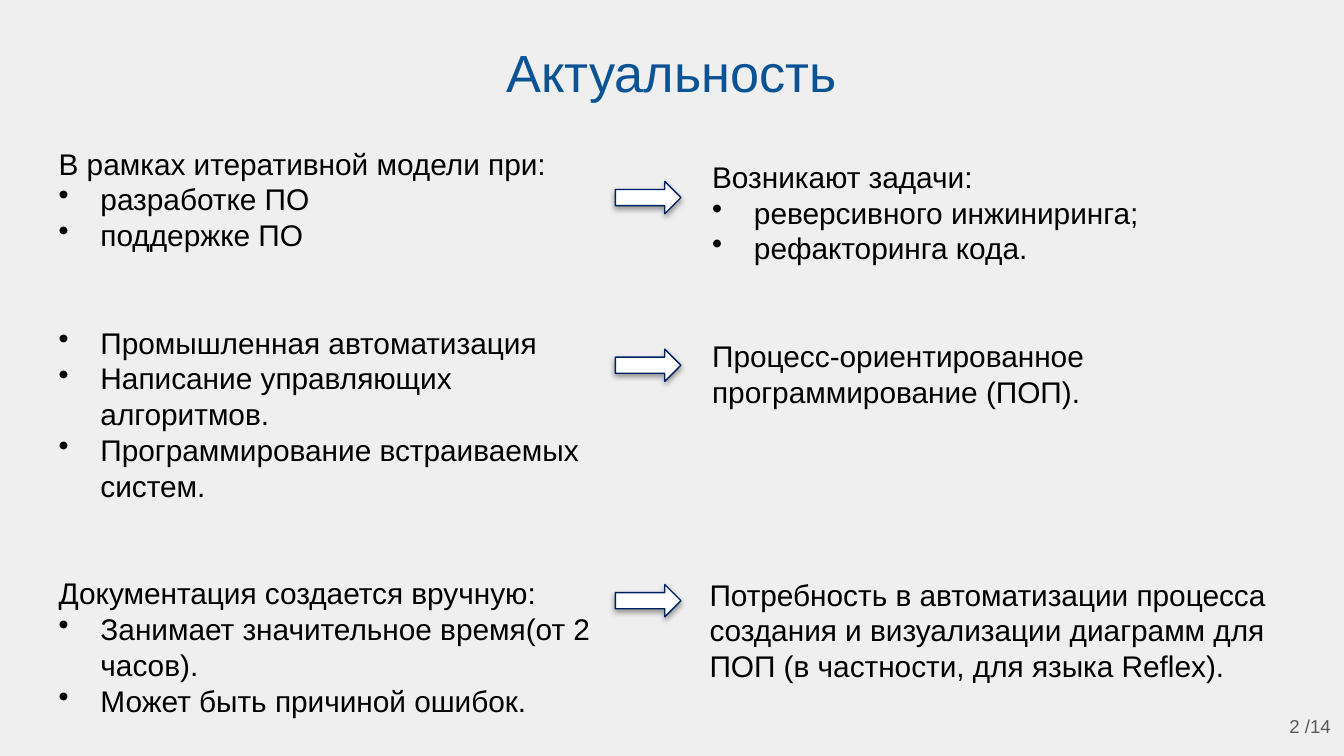
import lxml.etree
import pptx
import pptx.dml.color
import pptx.enum.shapes
import pptx.enum.text
import pptx.oxml.ns
import pptx.util

Cm, Pt = pptx.util.Cm, pptx.util.Pt
ALIGN = pptx.enum.text.PP_ALIGN
ANCHOR = pptx.enum.text.MSO_ANCHOR
AUTO_SIZE = pptx.enum.text.MSO_AUTO_SIZE

# Content: each group is (lead line or None, bulleted items)
TITLE = "Актуальность"
PAGE_NUMBER = "2 /14"
CAUSES = [
    ("В рамках итеративной модели при:", ["разработке ПО", "поддержке ПО"]),
    (None, ["Промышленная автоматизация",
            "Написание управляющих алгоритмов.",
            "Программирование встраиваемых систем."]),
    ("Документация создается вручную:",
     ["Занимает значительное время(от 2 часов).", "Может быть причиной ошибок."]),
]
TASKS = [
    ("Возникают задачи:", ["реверсивного инжиниринга;", "рефакторинга кода."]),
    ("Процесс-ориентированное программирование (ПОП).", []),
]
NEED = [
    ("Потребность в автоматизации процесса создания и визуализации диаграмм "
     "для ПОП (в частности, для языка Reflex).", []),
]

# Places in centimetres: left, top, width, height
TITLE_AREA = (0.86, 0.51, 23.67, 1.37)
NUMBER_AREA = (23.88, 13.18, 1.52, 1.09)
COLUMNS = [
    (CAUSES, (0.86, 2.62, 11.23, 11.79)),
    (TASKS, (13.21, 2.87, 11.28, 5.64)),
    (NEED, (13.16, 10.77, 11.4, 2.9)),
]
ARROW_LEFT, ARROW_WIDTH, ARROW_HEIGHT = 11.63, 1.24, 0.61
ARROW_TOPS = [3.43, 6.6, 11.05]
BULLET_INDENT = 0.79

THEME = {
    "font": "Arial", "line_height": 1.2,
    "title_size": 28, "body_size": 16, "number_size": 10,
    "page": "EFEFEF", "title": "0B5394", "body": "000000", "number": "595959",
    "arrow_fill": "FFFFFF", "arrow_line": "002060", "shadow": "000000",
}


def color(role):
    return pptx.dml.color.RGBColor.from_string(THEME[role])


def lengths(area):
    return [Cm(value) for value in area]


def add_box(page, area, margin=None):
    box = page.shapes.add_textbox(*lengths(area))
    frame = box.text_frame
    frame.word_wrap = True
    if margin is not None:
        frame.margin_left = frame.margin_right = Cm(margin)
        frame.margin_top = frame.margin_bottom = Cm(margin)
    return frame


def write(para, text, role, align=ALIGN.LEFT):
    size = THEME[role + "_size"]
    para.text = text
    para.alignment = align
    para.line_spacing = Pt(size * THEME["line_height"])
    para.font.name = THEME["font"]
    para.font.size = Pt(size)
    para.font.color.rgb = color(role)


def add_bullet(para):
    properties = para._p.get_or_add_pPr()
    properties.set("marL", str(Cm(BULLET_INDENT)))
    properties.set("indent", str(-Cm(BULLET_INDENT)))
    bullet = lxml.etree.Element(pptx.oxml.ns.qn("a:buChar"), char="•")
    properties.find(pptx.oxml.ns.qn("a:defRPr")).addprevious(bullet)


def add_groups(page, groups, area):
    frame = add_box(page, area)
    frame.auto_size = AUTO_SIZE.SHAPE_TO_FIT_TEXT
    gap = Pt(2 * THEME["body_size"] * THEME["line_height"])
    para = None
    for lead, items in groups:
        lines = [(lead, False)] if lead else []
        lines += [(item, True) for item in items]
        for position, (text, bulleted) in enumerate(lines):
            first = para is None
            para = frame.paragraphs[0] if first else frame.add_paragraph()
            write(para, text, "body")
            if position == 0 and not first:
                para.space_before = gap
            if bulleted:
                add_bullet(para)


def add_arrow(page, top):
    arrow = page.shapes.add_shape(
        pptx.enum.shapes.MSO_SHAPE.RIGHT_ARROW,
        *lengths((ARROW_LEFT, top, ARROW_WIDTH, ARROW_HEIGHT)))
    arrow.fill.solid()
    arrow.fill.fore_color.rgb = color("arrow_fill")
    arrow.line.color.rgb = color("arrow_line")
    arrow.line.width = Pt(0.75)
    # Soft shadow straight below
    arrow.shadow.inherit = False
    qn = pptx.oxml.ns.qn
    effects = arrow._element.spPr.find(qn("a:effectLst"))
    shadow = lxml.etree.SubElement(
        effects, qn("a:outerShdw"), blurRad=str(Pt(3.1)), dist=str(Pt(1.6)),
        dir="5400000", rotWithShape="0")
    tint = lxml.etree.SubElement(shadow, qn("a:srgbClr"), val=THEME["shadow"])
    lxml.etree.SubElement(tint, qn("a:alpha"), val="38000")


def main():
    deck = pptx.Presentation()
    deck.slide_width, deck.slide_height = Cm(25.4), Cm(14.29)
    page = deck.slides.add_slide(deck.slide_layouts[6])
    page.background.fill.solid()
    page.background.fill.fore_color.rgb = color("page")

    # Causes on the left, consequences on the right
    for groups, area in COLUMNS:
        add_groups(page, groups, area)
    for top in ARROW_TOPS:
        add_arrow(page, top)

    # Title and page number
    title = add_box(page, TITLE_AREA, margin=0.25)
    write(title.paragraphs[0], TITLE, "title", ALIGN.CENTER)
    number = add_box(page, NUMBER_AREA, margin=0.25)
    number.vertical_anchor = ANCHOR.MIDDLE
    write(number.paragraphs[0], PAGE_NUMBER, "number", ALIGN.RIGHT)

    deck.save("out.pptx")


if __name__ == "__main__":
    main()
